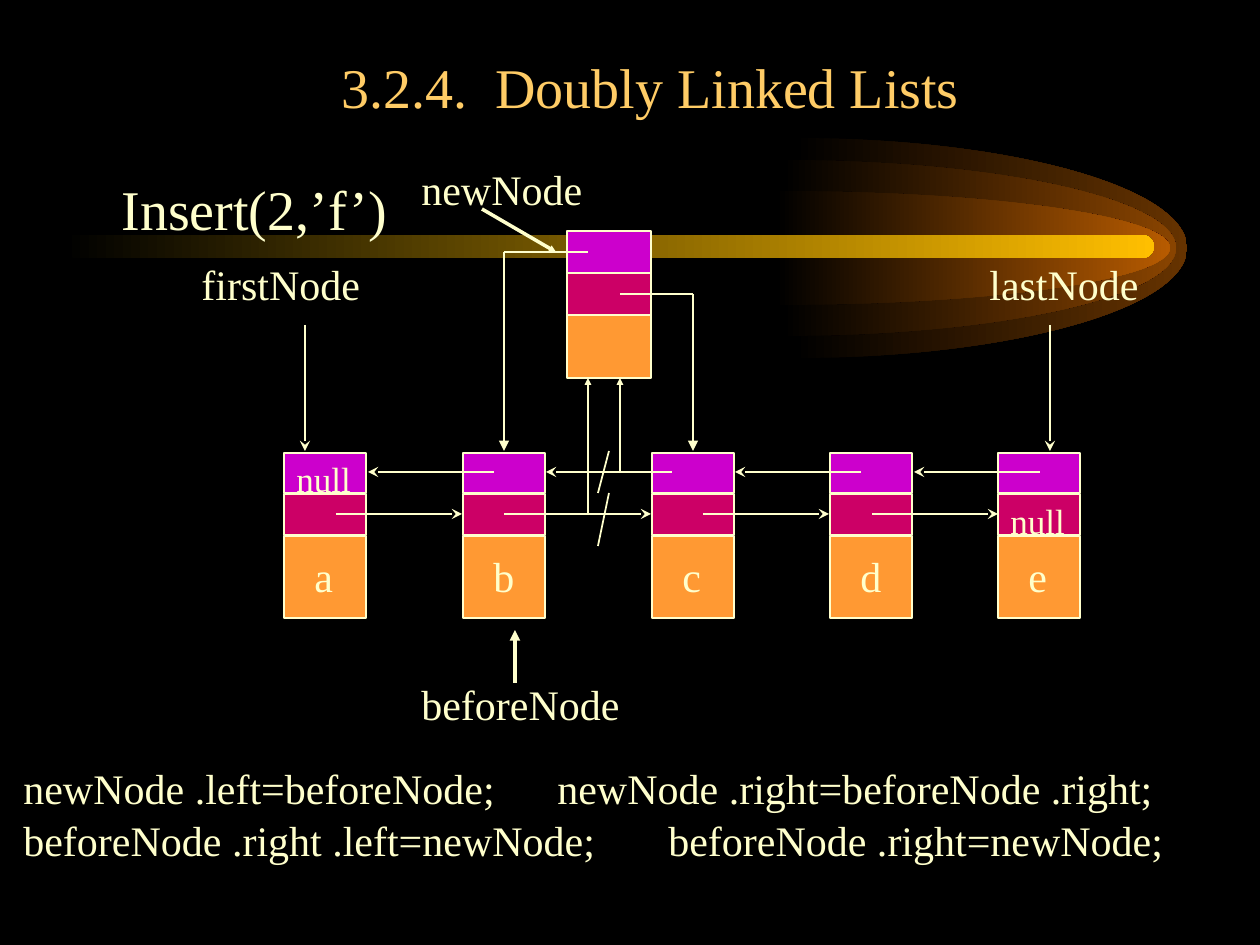
from lxml import etree
from pptx import Presentation
from pptx.dml.color import RGBColor
from pptx.enum.shapes import MSO_CONNECTOR, MSO_SHAPE
from pptx.enum.text import MSO_ANCHOR, PP_ALIGN
from pptx.oxml.ns import qn
from pptx.util import Pt

EMU_PER_PX = 914400 / 126

BLACK = RGBColor(0x00, 0x00, 0x00)
CREAM = RGBColor(0xFF, 0xFF, 0xCC)
GOLD = RGBColor(0xFF, 0xCC, 0x66)
ORANGE = RGBColor(0xFF, 0x99, 0x33)
CRIMSON = RGBColor(0xCC, 0x00, 0x66)
MAGENTA = RGBColor(0xCC, 0x00, 0xCC)
GLOW_DARK = RGBColor(0x66, 0x33, 0x00)
GLOW_MID = RGBColor(0x89, 0x44, 0x00)
GLOW_BRIGHT = RGBColor(0xB7, 0x5B, 0x00)
COMET_CORE = RGBColor(0xFF, 0xBF, 0x00)

RECT = MSO_SHAPE.RECTANGLE
ROUNDED = MSO_SHAPE.ROUNDED_RECTANGLE
STRAIGHT = MSO_CONNECTOR.STRAIGHT
TOP, BOTTOM = MSO_ANCHOR.TOP, MSO_ANCHOR.BOTTOM
LEFT, CENTER = PP_ALIGN.LEFT, PP_ALIGN.CENTER

FONT = "Times New Roman"
COMET_Y = 248
CURVE = 0.55  # control point distance of a quarter ellipse
NODES = {"a": 284, "b": 463, "c": 652, "d": 830, "e": 998}
NODE_CELLS = [(453, 40, MAGENTA), (494, 41, CRIMSON), (536, 82, ORANGE)]
NEW_NODE_CELLS = [(231, 42, MAGENTA), (273, 42, CRIMSON), (315, 63, ORANGE)]
LEFT_LINK_Y, RIGHT_LINK_Y = 472, 514

LABELS = [
    ("Insert(2,’f’)", (109, 168, 400, 80), 32),
    ("firstNode", (189, 252, 231, 63), 24),
    ("lastNode", (977, 252, 231, 63), 24),
    ("newNode", (409, 157, 200, 63), 24),
    ("beforeNode", (409, 672, 242, 63), 24),
    ("null", (284, 451, 84, 54), 20),
    ("null", (998, 493, 84, 54), 20),
]
# Each line of code: top, left statement, right statement, tab stop
CODE_LINES = [
    (756, "newNode .left=beforeNode;", "newNode .right=beforeNode .right;", 534),
    (808, "beforeNode .right .left=newNode;", "beforeNode .right=newNode;", 645),
]

# Start x, start y, end x, end y, width in points, arrowhead, arrowhead size
POINTERS = [
    (305, 325, 305, 451, 1, "stealth"),
    (1050, 325, 1050, 451, 1, "stealth"),
    (515, 683, 515, 630, 2, "triangle"),
    (482, 209, 556, 252, 2, "triangle", "sm"),
]
RIGHT_LINKS = [(336, 462), (504, 651), (703, 829), (872, 998)]
LEFT_LINKS = [(494, 368), (672, 546), (861, 735), (1040, 914)]
NEW_LINKS = [
    (588, 252, 504, 252),
    (504, 252, 504, 451, 1, "triangle"),
    (620, 294, 693, 294),
    (693, 294, 693, 451, 1, "triangle"),
    (620, 472, 620, 378, 1, "triangle", "sm"),
    (588, 514, 588, 378, 1, "triangle", "sm"),
]
CUT_MARKS = [(609, 493, 598, 546), (609, 451, 598, 493)]


def px(*lengths):
    return [round(length * EMU_PER_PX) for length in lengths]


def add_label(slide, text, box, size, color=CREAM, align=LEFT, anchor=TOP):
    frame = slide.shapes.add_textbox(*px(*box)).text_frame
    frame.word_wrap = True
    frame.vertical_anchor = anchor
    paragraph = frame.paragraphs[0]
    paragraph.alignment = align
    run = paragraph.add_run()
    run.text = text
    run.font.color.rgb = color
    for name, value in {"name": FONT, "size": Pt(size)}.items():
        setattr(run.font, name, value)
    return paragraph


def add_code_line(slide, top, left_code, right_code, tab_stop):
    """Put two statements on one line, the second one at a tab stop."""
    paragraph = add_label(slide, f"{left_code}\t{right_code}", (11, top, 1249, 63), 24)
    tabs = etree.SubElement(paragraph._p.get_or_add_pPr(), qn("a:tabLst"))
    etree.SubElement(tabs, qn("a:tab"), pos=str(px(tab_stop)[0]), algn="l")


def add_node(slide, left, width, cells):
    for top, height, color in cells:
        cell = slide.shapes.add_shape(RECT, *px(left, top, width, height))
        cell.shadow.inherit = False
        cell.fill.solid()
        cell.fill.fore_color.rgb = color
        cell.line.color.rgb = CREAM
        cell.line.width = Pt(1)


def add_line(slide, x1, y1, x2, y2, width=1, arrowhead=None, head_size="med"):
    line = slide.shapes.add_connector(STRAIGHT, *px(x1, y1, x2, y2))
    line.line.color.rgb = CREAM
    line.line.width = Pt(width)
    if arrowhead:
        etree.SubElement(line.line._get_or_add_ln(), qn("a:tailEnd"),
                         type=arrowhead, w=head_size, len=head_size)
    etree.SubElement(line._element.spPr, qn("a:effectLst"))


def fade_from_black(shape, color):
    shape.shadow.inherit = False
    shape.line.fill.background()
    shape.fill.gradient()
    shape.fill.gradient_angle = 0
    for stop, stop_color in zip(shape.fill.gradient_stops, (BLACK, color)):
        stop.color.rgb = stop_color


def bend_segments(shape):
    """Join each three straight segments into one Bezier curve."""
    segments = list(shape._element.iter(qn("a:lnTo")))
    for first in range(0, len(segments), 3):
        curve = etree.Element(qn("a:cubicBezTo"))
        segments[first].addprevious(curve)
        for segment in segments[first:first + 3]:
            curve.append(segment[0])
            segment.getparent().remove(segment)


def add_glow(slide, left, radius_y, color, radius_x=394):
    """Draw the right half of an ellipse, centred on the comet's axis."""
    unit_points = [(0, -1), (CURVE, -1), (1, -CURVE), (1, 0),
                   (1, CURVE), (CURVE, 1), (0, 1)]
    rim = [px(left + radius_x * x, COMET_Y + radius_y * y) for x, y in unit_points]
    builder = slide.shapes.build_freeform(*rim[0])
    builder.add_line_segments(rim[1:], close=True)
    glow = builder.convert_to_shape()
    bend_segments(glow)
    fade_from_black(glow, color)


def add_comet(slide):
    for left, radius_y, color in [(793, 110, GLOW_DARK), (782, 88, GLOW_MID),
                                  (776, 57, GLOW_BRIGHT)]:
        add_glow(slide, left, radius_y, color)
    core = slide.shapes.add_shape(ROUNDED, *px(63, 235, 1091, 23))
    core.adjustments[0] = 0.5
    fade_from_black(core, COMET_CORE)


def main():
    prs = Presentation()
    prs.slide_width, prs.slide_height = px(1260, 945)
    slide = prs.slides.add_slide(prs.slide_layouts[6])
    slide.background.fill.solid()
    slide.background.fill.fore_color.rgb = BLACK

    add_comet(slide)
    add_label(slide, "3.2.4.  Doubly Linked Lists", (115, 32, 1071, 94), 32,
              color=GOLD, align=CENTER, anchor=BOTTOM)

    for value, left in NODES.items():
        add_node(slide, left, 82, NODE_CELLS)
        add_label(slide, value, (left + 18, 544, 46, 63), 24)
    add_node(slide, 567, 84, NEW_NODE_CELLS)

    for label in LABELS:
        add_label(slide, *label)
    for code_line in CODE_LINES:
        add_code_line(slide, *code_line)

    for y, links in [(RIGHT_LINK_Y, RIGHT_LINKS), (LEFT_LINK_Y, LEFT_LINKS)]:
        for start, end in links:
            add_line(slide, start, y, end, y, arrowhead="stealth")
    for line in POINTERS + NEW_LINKS + CUT_MARKS:
        add_line(slide, *line)

    prs.save("out.pptx")


if __name__ == "__main__":
    main()
